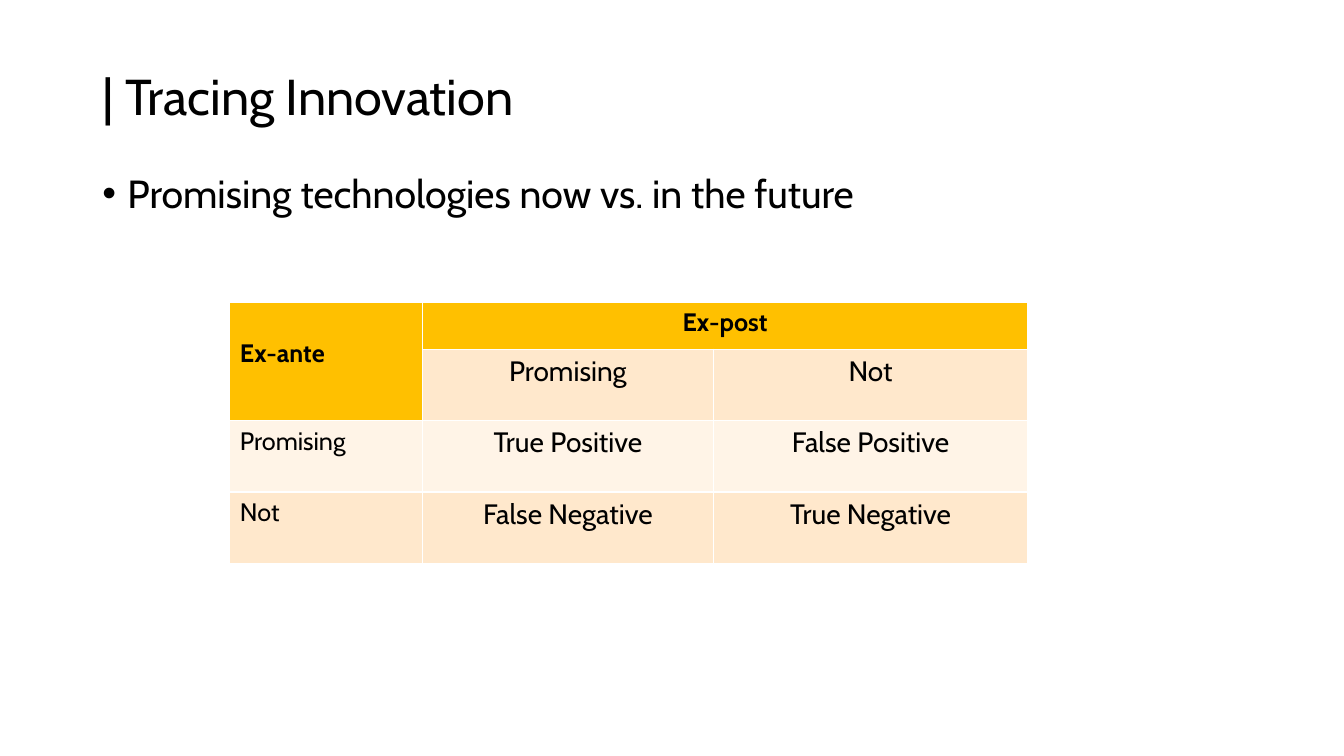
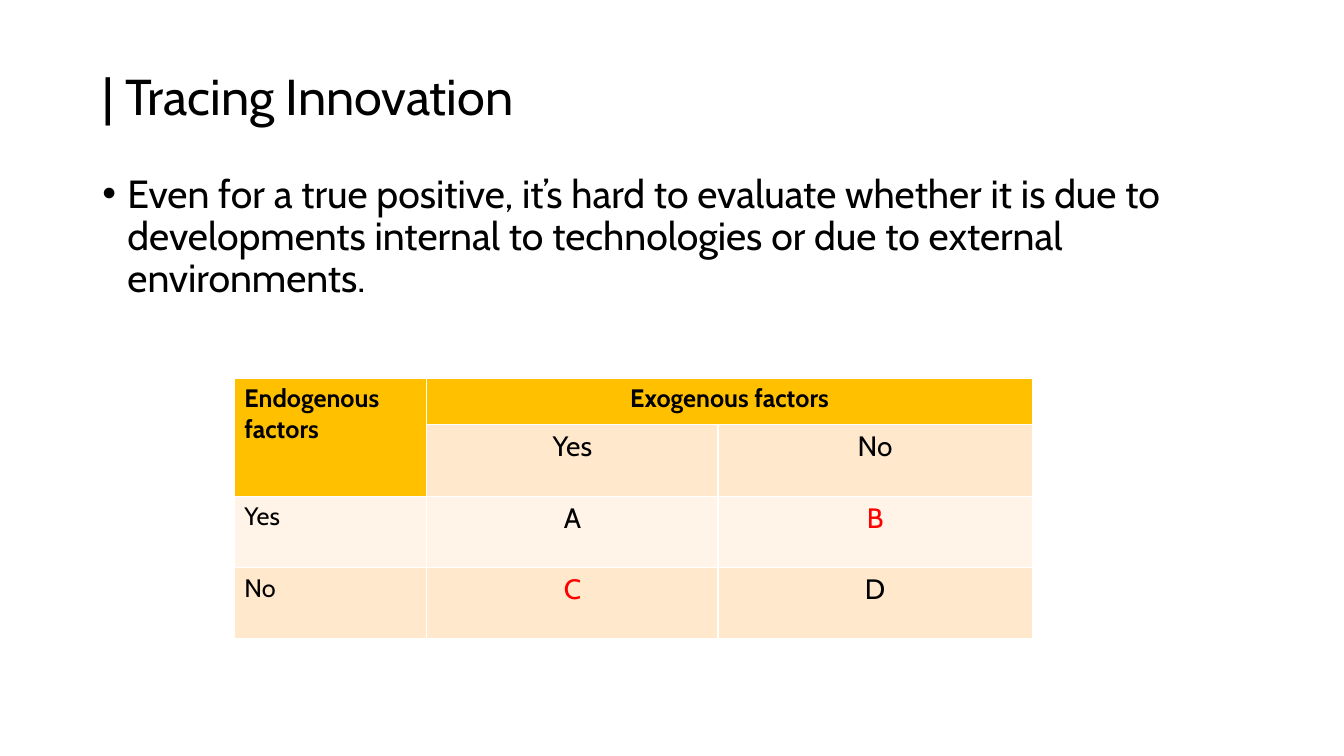
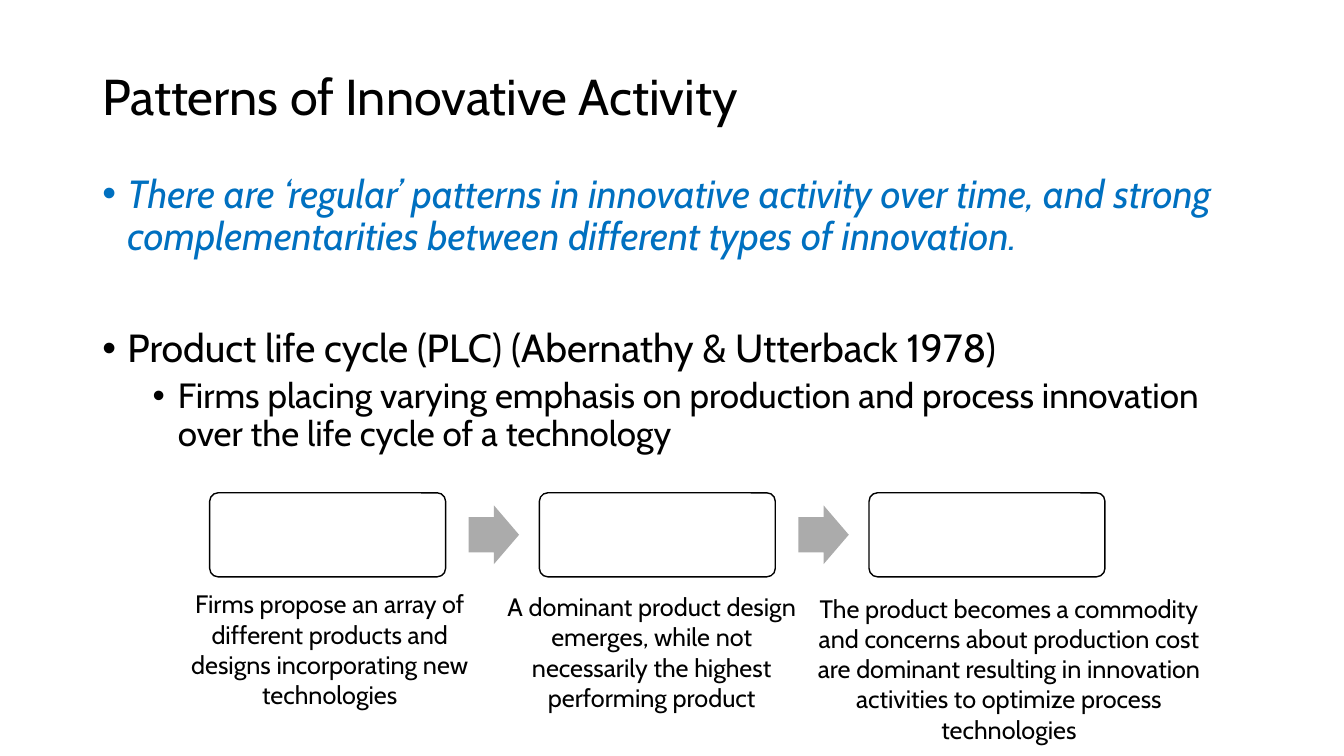
import dataclasses
import typing

import pptx
import pptx.dml.color
import pptx.enum.shapes
import pptx.enum.text
import pptx.oxml
import pptx.oxml.ns
import pptx.util

Pt = pptx.util.Pt
ALIGN = pptx.enum.text.PP_ALIGN
ANCHOR = pptx.enum.text.MSO_ANCHOR
SHAPE = pptx.enum.shapes.MSO_SHAPE

FONT = "Cabin"
BLACK, WHITE, RED, BLUE = "000000", "FFFFFF", "FF0000", "0070C0"
GOLD, PEACH, CREAM, GREY = "FFC000", "FFE8CC", "FFF4E7", "ABABAB"
MARGIN, CONTENT_WIDTH = 66, 828
COLUMN_WIDTHS = (137.5, 208, 224.5)
ROW_HEIGHTS = (33.5, 51, 51, 51)


@dataclasses.dataclass(frozen=True)
class Bullet:
    text: str
    level: int = 0
    size: float = 28
    color: str = BLACK
    italic: bool = False
    before: float = 10


@dataclasses.dataclass(frozen=True)
class Matrix:
    left: float
    top: float
    row_factor: str
    column_factor: str
    labels: tuple[str, str]
    outcomes: tuple[tuple[str, str], tuple[str, str]]
    red: tuple[str, ...] = ()
    corner_margin: float = 3.6


@dataclasses.dataclass(frozen=True)
class Caption:
    left: float
    top: float
    width: float
    height: float
    text: str


def rgb(color: str) -> pptx.dml.color.RGBColor:
    return pptx.dml.color.RGBColor.from_string(color)


def write(paragraph: typing.Any, text: str, *, size: float, color: str = BLACK,
          bold: bool = False, italic: bool = False, align: typing.Any = ALIGN.LEFT) -> None:
    paragraph.alignment = align
    run = paragraph.add_run()
    run.text = text
    run.font.name = FONT
    run.font.size = Pt(size)
    run.font.bold = bold
    run.font.italic = italic
    run.font.color.rgb = rgb(color)


def add_frame(slide: typing.Any, left: float, top: float, width: float, height: float,
              anchor: typing.Any = ANCHOR.TOP) -> typing.Any:
    box = slide.shapes.add_textbox(Pt(left), Pt(top), Pt(width), Pt(height))
    box.text_frame.word_wrap = True
    box.text_frame.vertical_anchor = anchor
    return box.text_frame


def add_xml(parent: typing.Any, xml: str) -> None:
    namespace = pptx.oxml.ns.nsdecls("a")
    parent.append(pptx.oxml.parse_xml(xml.replace(">", f" {namespace}>", 1)))


def add_bullets(slide: typing.Any, bullets: tuple[Bullet, ...], height: float) -> None:
    frame = add_frame(slide, MARGIN, 121, CONTENT_WIDTH, height)
    for index, bullet in enumerate(bullets):
        paragraph = frame.add_paragraph() if index else frame.paragraphs[0]
        paragraph.level = bullet.level
        paragraph.line_spacing = 0.9
        paragraph.space_before = Pt(bullet.before)
        write(paragraph, bullet.text, size=bullet.size, color=bullet.color, italic=bullet.italic)
        properties = paragraph._p.get_or_add_pPr()
        properties.set("marL", str(Pt(18 + 36 * bullet.level)))
        properties.set("indent", str(-Pt(18)))
        add_xml(properties, "<a:buFont typeface='Arial'></a:buFont>")
        add_xml(properties, "<a:buChar char='•'></a:buChar>")


def add_slide(presentation: typing.Any, title: str, bullets: tuple[Bullet, ...],
              body_height: float = 366) -> typing.Any:
    slide = presentation.slides.add_slide(presentation.slide_layouts[6])
    slide.background.fill.solid()
    slide.background.fill.fore_color.rgb = rgb(WHITE)
    frame = add_frame(slide, MARGIN, 28.8, CONTENT_WIDTH, 84, ANCHOR.MIDDLE)
    frame.paragraphs[0].line_spacing = 0.9
    write(frame.paragraphs[0], title, size=36)
    add_bullets(slide, bullets, body_height)
    return slide


def style_cell(cell: typing.Any, fill: str) -> None:
    properties = cell._tc.get_or_add_tcPr()
    for side in ("lnL", "lnR", "lnT", "lnB"):
        add_xml(properties, f"<a:{side} w='{Pt(1)}'><a:solidFill><a:srgbClr val='{WHITE}'/>"
                            f"</a:solidFill></a:{side}>")
    cell.fill.solid()
    cell.fill.fore_color.rgb = rgb(fill)


def add_matrix(slide: typing.Any, matrix: Matrix) -> None:
    table = slide.shapes.add_table(
        len(ROW_HEIGHTS), len(COLUMN_WIDTHS), Pt(matrix.left), Pt(matrix.top),
        Pt(sum(COLUMN_WIDTHS)), Pt(sum(ROW_HEIGHTS))).table
    table.first_row = table.horz_banding = False
    for column, width in zip(table.columns, COLUMN_WIDTHS):
        column.width = Pt(width)
    for row, height in zip(table.rows, ROW_HEIGHTS):
        row.height = Pt(height)
    table.cell(0, 0).merge(table.cell(1, 0))
    table.cell(0, 1).merge(table.cell(0, 2))
    table.cell(0, 0).margin_top = Pt(matrix.corner_margin)
    rows = [
        (matrix.row_factor, matrix.column_factor, ""),
        ("", *matrix.labels),
        *((label, *values) for label, values in zip(matrix.labels, matrix.outcomes)),
    ]
    for row_index, texts in enumerate(rows):
        for column_index, text in enumerate(texts):
            cell = table.cell(row_index, column_index)
            header = row_index == 0 or (row_index == 1 and column_index == 0)
            style_cell(cell, GOLD if header else CREAM if row_index == 2 else PEACH)
            if text:
                write(cell.text_frame.paragraphs[0], text, bold=header,
                      size=18 if header or column_index == 0 else 20,
                      color=RED if text in matrix.red else BLACK,
                      align=ALIGN.CENTER if column_index else ALIGN.LEFT)


def add_block(slide: typing.Any, kind: typing.Any, left: float, middle: float, width: float,
              height: float, *, fill: str, adjustments: tuple[float, ...],
              line: str | None = None) -> None:
    shape = slide.shapes.add_shape(kind, Pt(left), Pt(middle - height / 2), Pt(width), Pt(height))
    shape.shadow.inherit = False
    shape.fill.solid()
    shape.fill.fore_color.rgb = rgb(fill)
    for index, value in enumerate(adjustments):
        shape.adjustments[index] = value
    if line:
        shape.line.color.rgb = rgb(line)
        shape.line.width = Pt(1)
    else:
        shape.line.fill.background()


def add_life_cycle(slide: typing.Any, captions: tuple[Caption, ...]) -> None:
    first_left, step, middle = 149.8, 235.5, 382
    for index, caption in enumerate(captions):
        left = first_left + index * step
        if index:
            add_block(slide, SHAPE.RIGHT_ARROW, left - 50.5, middle, 36, 42,
                      fill=GREY, adjustments=(0.6, 0.5))
        add_block(slide, SHAPE.ROUNDED_RECTANGLE, left, middle, 168.5, 60,
                  fill=WHITE, adjustments=(0.1,), line=BLACK)
    for caption in captions:
        frame = add_frame(slide, caption.left, caption.top, caption.width, caption.height)
        write(frame.paragraphs[0], caption.text, size=18, align=ALIGN.CENTER)


def main() -> None:
    presentation = pptx.Presentation()
    presentation.slide_width, presentation.slide_height = Pt(960), Pt(540)

    slide = add_slide(presentation, "| Tracing Innovation", (
        Bullet("Promising technologies now vs. in the future"),))
    add_matrix(slide, Matrix(
        164.2, 216, "Ex-ante", "Ex-post", ("Promising", "Not"),
        (("True Positive", "False Positive"), ("False Negative", "True Negative")),
        corner_margin=25.5))

    slide = add_slide(presentation, "| Tracing Innovation", (
        Bullet("Even for a true positive, it’s hard to evaluate whether it is due to developments "
               "internal to technologies or due to external environments."),))
    add_matrix(slide, Matrix(
        167.4, 270, "Endogenous factors", "Exogenous factors", ("Yes", "No"),
        (("A", "B"), ("C", "D")), red=("B", "C")))

    slide = add_slide(presentation, "Patterns of Innovative Activity", (
        Bullet("There are ‘regular’ patterns in innovative activity over time, and strong "
               "complementarities between different types of innovation.",
               color=BLUE, italic=True),
        Bullet("Product life cycle (PLC) (Abernathy & Utterback 1978)", before=50),
        Bullet("Firms placing varying emphasis on production and process innovation over the "
               "life cycle of a technology", level=1, size=25, before=5)), 223)
    add_life_cycle(slide, (
        Caption(113.8, 417, 243.4, 94.5, "Firms propose an array of different products and "
                "designs incorporating new technologies"),
        Caption(350, 419, 231, 94.5, "A dominant product design emerges, while not necessarily "
                "the highest performing product"),
        Caption(568.8, 420, 303.8, 116.5, "The product becomes a commodity and concerns about "
                "production cost are dominant resulting in innovation activities to optimize "
                "process technologies")))

    presentation.save("out.pptx")


if __name__ == "__main__":
    main()
